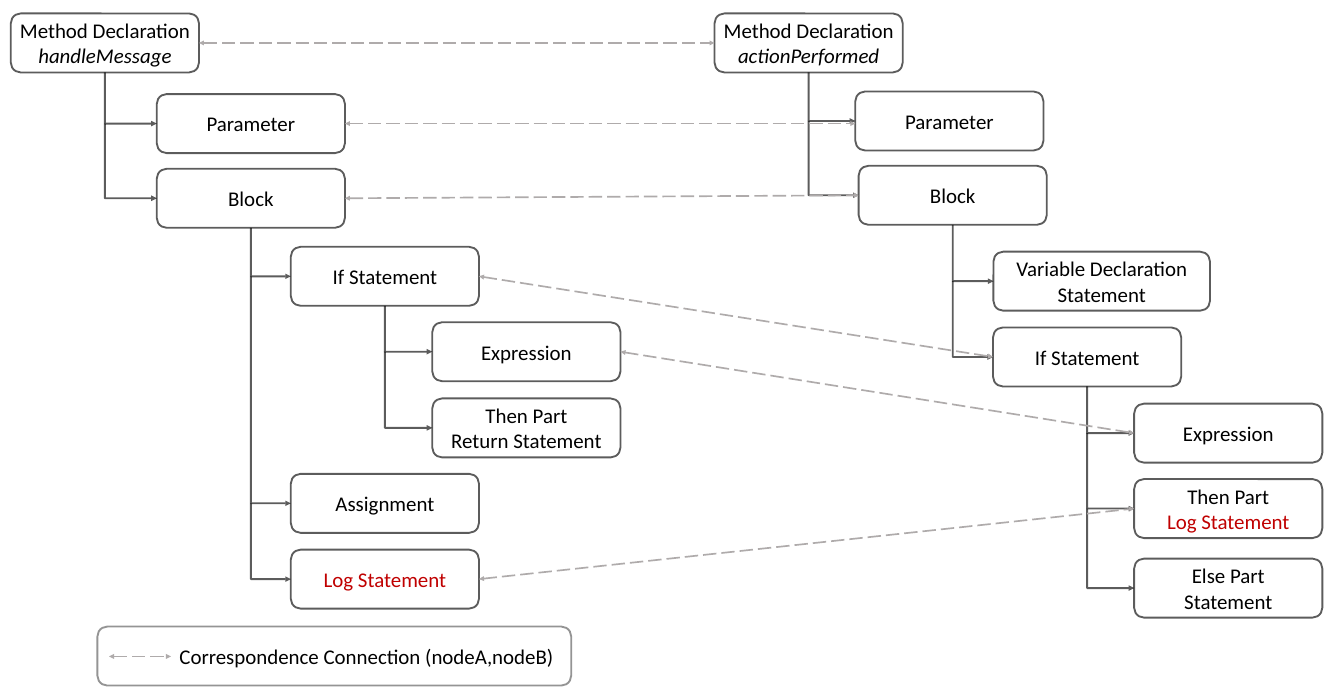
from lxml import etree
from pptx import Presentation
from pptx.dml.color import RGBColor
from pptx.enum import dml, shapes, text
from pptx.oxml.ns import qn
from pptx.util import Pt

NODE_W, NODE_H = 252, 79
ITALIC = {"handleMessage", "actionPerformed"}
RED = {"Log Statement"}

NODES = {
    "handle": (None, 14.5, 18, NODE_W, ["Method Declaration", "handleMessage"]),
    "parameter a": ("handle", 210, 126, NODE_W, ["Parameter"]),
    "block a": ("handle", 210, 226, NODE_W, ["Block"]),
    "if a": ("block a", 389.5, 330.5, NODE_W, ["If Statement"]),
    "expression a": ("if a", 579, 431.5, NODE_W, ["Expression"]),
    "then a": ("if a", 579, 533.5, NODE_W, ["Then Part", "Return Statement"]),
    "assignment": ("block a", 389.5, 634.5, NODE_W, ["Assignment"]),
    "log": ("block a", 389.5, 736, NODE_W, ["Log Statement"]),
    "action": (None, 957, 18, NODE_W, ["Method Declaration", "actionPerformed"]),
    "parameter b": ("action", 1145.5, 122.5, NODE_W, ["Parameter"]),
    "block b": ("action", 1150, 222, NODE_W, ["Block"]),
    "variable": ("block b", 1330.5, 337, 290, ["Variable Declaration", "Statement"]),
    "if b": ("block b", 1330, 438.5, NODE_W, ["If Statement"]),
    "expression b": ("if b", 1519, 540.5, NODE_W, ["Expression"]),
    "then b": ("if b", 1519, 641.5, NODE_W, ["Then Part", "Log Statement"]),
    "else": ("if b", 1519, 748, NODE_W, ["Else Part", "Statement"]),
}

MATCHES = [("log", "then b"), ("handle", "action"), ("block a", "block b"),
           ("if a", "if b"), ("expression a", "expression b")]


def rgb(value):
    """Turn a hex string into a colour."""
    return RGBColor.from_string(value)


def style_line(sp, color, width, alpha=None):
    """Set the colour, width and opacity (percent) of a line."""
    sp.line.color.rgb = rgb(color)
    sp.line.width = Pt(width)
    if alpha:
        clr = sp.line._ln.find(qn("a:solidFill"))[0]
        etree.SubElement(clr, qn("a:alpha")).set("val", str(alpha * 1000))


def finish_connector(cn, *ends):
    """Add arrowheads at the given ends and remove the theme shadow."""
    for end in ends:
        etree.SubElement(cn.line._ln, qn(f"a:{end}")).set("type", "triangle")
    etree.SubElement(cn._element.spPr, qn("a:effectLst"))


def add_box(s, x, y, w, lines, color="000000"):
    """Add an outlined rounded box with centred lines of text."""
    sp = s.shapes.add_shape(shapes.MSO_SHAPE.ROUNDED_RECTANGLE,
                            Pt(x), Pt(y), Pt(w), Pt(NODE_H))
    sp.shadow.inherit = False
    sp.fill.background()
    style_line(sp, color, 2.5, 63)
    tf = sp.text_frame
    tf.word_wrap = True
    tf.vertical_anchor = text.MSO_ANCHOR.MIDDLE
    for i, line in enumerate(lines):
        p = tf.add_paragraph() if i else tf.paragraphs[0]
        p.alignment = text.PP_ALIGN.CENTER
        p.add_run().text = line
        p.font.name = "Calibri"
        p.font.size = Pt(28)
        p.font.italic = line in ITALIC
        p.font.color.rgb = rgb("C00000" if line in RED else "000000")
    return sp


def add_branch(s, x0, y0, x1, y1):
    """Add an elbow arrow that runs down and then right."""
    cx, cy = (x0 + x1) / 2, (y0 + y1) / 2
    dx, dy = (x1 - x0) / 2, (y1 - y0) / 2
    cn = s.shapes.add_connector(shapes.MSO_CONNECTOR.ELBOW, Pt(cx - dy), Pt(cy - dx),
                                Pt(cx + dy), Pt(cy + dx))
    spPr = cn._element.spPr
    spPr.find(qn("a:prstGeom")).set("prst", "bentConnector2")
    spPr.xfrm.set("rot", "16200000")
    spPr.xfrm.set("flipH", "1")
    style_line(cn, "000000", 2.5, 63)
    finish_connector(cn, "tailEnd")


def add_match(s, x0, y0, x1, y1, left=None, right=None):
    """Add a dashed double arrow, joined to the boxes given."""
    cn = s.shapes.add_connector(shapes.MSO_CONNECTOR.STRAIGHT,
                                Pt(x0), Pt(y0), Pt(x1), Pt(y1))
    if left:
        cn.begin_connect(left, 3)
    if right:
        cn.end_connect(right, 1)
    style_line(cn, "AFABAB", 2.25)
    cn.line.dash_style = dml.MSO_LINE.LONG_DASH
    finish_connector(cn, "headEnd", "tailEnd")


def add_trees(s):
    """Add both syntax trees and return their boxes by name."""
    boxes, trunk = {}, {}
    for name, (parent, x, y, w, lines) in NODES.items():
        boxes[name] = add_box(s, x, y, w, lines)
        trunk[name] = y + NODE_H
        if parent:
            middle = y + NODE_H / 2
            add_branch(s, NODES[parent][1] + NODE_W / 2, trunk[parent], x, middle)
            trunk[parent] = middle
    return boxes


def add_legend(s):
    """Add the legend box with its sample arrow."""
    sp = add_box(s, 130.5, 839, 634.5,
                 ["Correspondence Connection (nodeA,nodeB)"], "595959")
    sp.text_frame.margin_left = Pt(93)
    add_match(s, 146, 879, 229, 879)


def main():
    """Build the slide and save it."""
    prs = Presentation()
    prs.slide_width, prs.slide_height = Pt(1800), Pt(936)
    s = prs.slides.add_slide(prs.slide_layouts[6])
    boxes = add_trees(s)
    add_legend(s)
    for left, right in MATCHES:
        add_match(s, 0, 0, 0, 0, boxes[left], boxes[right])
    add_match(s, 462, 165.5, 1145.5, 165.5, boxes["parameter a"])
    prs.save("out.pptx")


if __name__ == "__main__":
    main()
